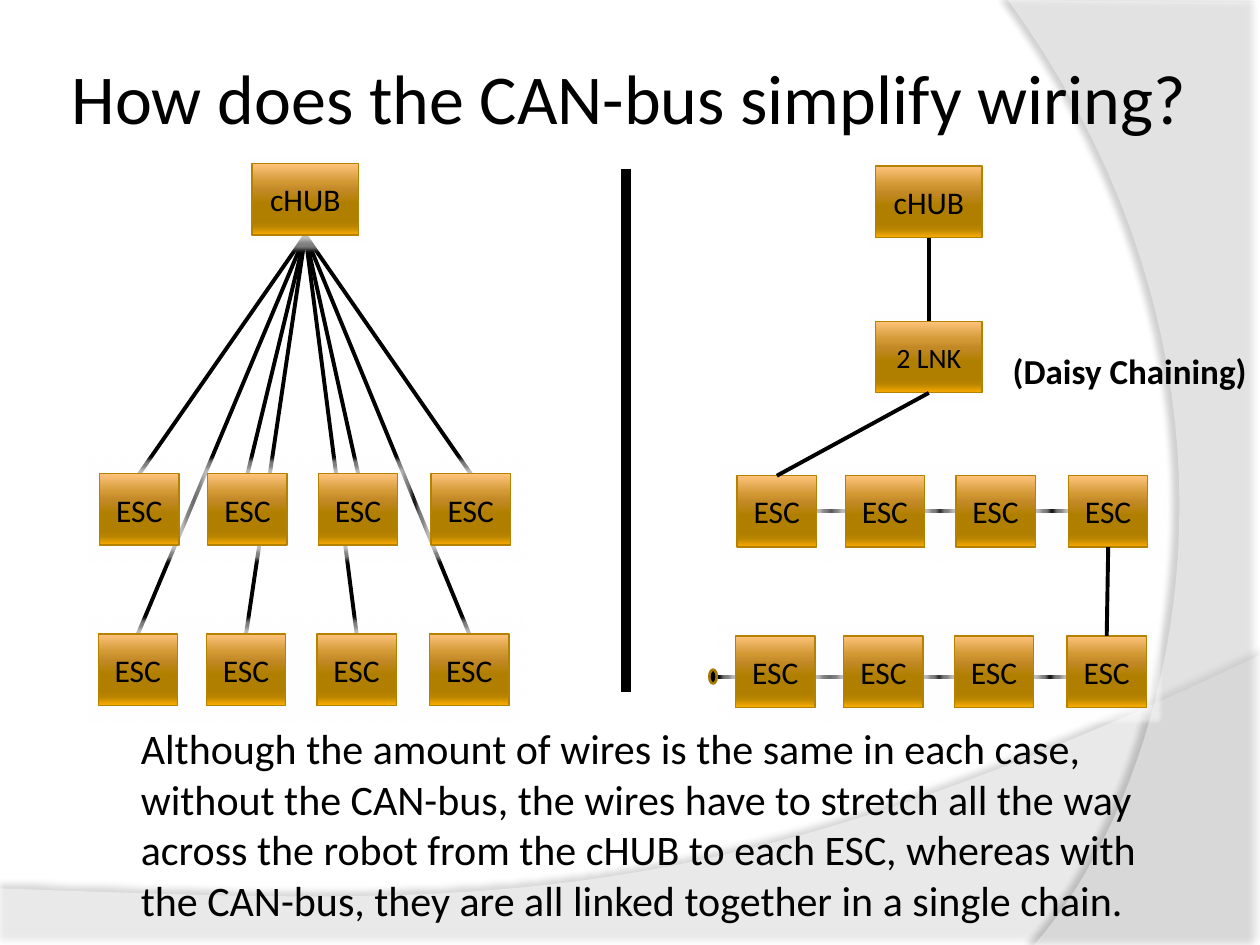
from lxml import etree
from pptx import Presentation
from pptx.dml.color import RGBColor
from pptx.enum.shapes import MSO_CONNECTOR, MSO_SHAPE
from pptx.enum.text import MSO_ANCHOR, PP_ALIGN
from pptx.oxml.ns import qn
from pptx.util import Cm, Pt

TITLE = "How does the CAN-bus simplify wiring?"
LABEL = "(Daisy Chaining)"
MAIN = "cHUB"
LINK = "2 LNK"
BODY = ("Although the amount of wires is the same in each case, without the "
        "CAN-bus, the wires have to stretch all the way across the robot from "
        f"the {MAIN} to each ESC, whereas with the CAN-bus, they are all linked "
        "together in a single chain.")
HEX = {"ink": "000000", "white": "FFFFFF", "edge": "B58200", "ring": "A77800"}
GOLD = [(0, "FFC37C"), (25, "D29935"), (38, "C28825"), (55, "B17F00"),
        (80, "B07E00"), (88, "B98500"), (100, "FAAC00")]

# All lengths are in cm.
COLS = [2.01, 4.19, 6.42, 8.69]
ROWS = [(9.55, 0), (12.78, -0.03)]  # top, sideways shift
RIGHT = (12.85, 0.04)               # offset of the right-hand ESC grid
ESC = (1.6, 1.44)
HUB = (2.15, 1.44)

# Swooshes: start, steps (2 numbers: line, 6: curve), opacity and shadow
WAVES = [
    ((0, 17.91), [(0, 19.05), (25.4, 19.05), (25.4, 13.21),
                  (14.2, 18.52, 9.93, 18.26, 0, 17.91)], 45, (35, 4, 3.5, 270)),
    ((25.4, 0.05), [(25.4, 19.05), (20.85, 19.05),
                    (23.75, 15.72, 25.86, 7.62, 20.32, 0)], 40, (45, 4, 4, 180)),
]


def tint(tag, color, alpha=100):
    """Add a colour with opacity in percent to an XML element."""
    node = etree.SubElement(tag, qn("a:srgbClr"), val=HEX.get(color, color))
    if alpha < 100:
        etree.SubElement(node, qn("a:alpha"), val=str(alpha * 1000))


def effect(shape, name, color, alpha, **attrs):
    shape.shadow.inherit = False
    root = shape._element.spPr.find(qn("a:effectLst"))
    tint(etree.SubElement(root, qn("a:" + name), **attrs), color, alpha)


def paint(fill, color):
    fill.solid()
    fill.fore_color.rgb = RGBColor.from_string(HEX[color])


def write(frame, text, size, align, bold=False):
    frame.text = text
    para = frame.paragraphs[0]
    para.alignment = align
    font = para.runs[0].font
    font.name, font.size, font.bold = "Calibri", Pt(size), bold
    paint(font.fill, "ink")


def curve(a, steps, count=40):
    """Points along a cubic curve from a."""
    b, c, d = steps[:2], steps[2:4], steps[4:]
    for i in range(1, count + 1):
        t = i / count
        s = 1 - t
        yield tuple(s**3 * p + 3 * s * s * t * q + 3 * s * t * t * r + t**3 * e
                    for p, q, r, e in zip(a, b, c, d))


def wave(shapes, place, start, steps, alpha, shade):
    points = [start]
    for step in steps:
        points += [step] if len(step) == 2 else list(curve(points[-1], step))
    form = shapes.build_freeform(Cm(start[0]), Cm(start[1]))
    form.add_line_segments([(Cm(x), Cm(y)) for x, y in points[1:]])
    shape = form.convert_to_shape()
    paint(shape.fill, "white")
    node = shape._element.spPr.find(".//" + qn("a:srgbClr"))
    etree.SubElement(node, qn("a:alpha"), val=str(alpha * 1000))
    shape.line.fill.background()
    dark, blur, dist, angle = shade
    effect(shape, "outerShdw", "ink", dark, blurRad=str(Pt(blur)),
           dist=str(Pt(dist)), dir=str(angle * 60000), algn="ctr", rotWithShape="0")
    shapes._spTree.insert(place, shape._element)


def wire(shapes, start, end, width=2.25):
    line = shapes.add_connector(MSO_CONNECTOR.STRAIGHT,
                                *[Cm(v) for v in (*start, *end)])
    line.line.width = Pt(width)
    paint(line.line.fill, "ink")
    etree.SubElement(line._element.spPr, qn("a:effectLst"))


def box(shapes, spot, area, text, size=18):
    shape = shapes.add_shape(MSO_SHAPE.RECTANGLE, *[Cm(v) for v in (*spot, *area)])
    shape.fill.gradient()
    shape.fill.gradient_angle = 270
    stops = shape._element.spPr.find(".//" + qn("a:gsLst"))
    for stop in list(stops):
        stops.remove(stop)
    for place, color in GOLD:
        tint(etree.SubElement(stops, qn("a:gs"), pos=str(place * 1000)), color)
    paint(shape.line.fill, "edge")
    shape.line.width = Pt(0.75)
    effect(shape, "glow", "white", 50, rad=str(Pt(5)))
    frame = shape.text_frame
    frame.margin_left = frame.margin_right = 0
    frame.vertical_anchor = MSO_ANCHOR.MIDDLE
    write(frame, text, size, PP_ALIGN.CENTER)


def top(spot, area):
    return spot[0] + area[0] / 2, spot[1]


def foot(spot, area):
    return spot[0] + area[0] / 2, spot[1] + area[1]


def grid(dx=0, dy=0):
    return [[(x + shift + dx, y + dy) for x in COLS] for y, shift in ROWS]


def star(shapes):
    hub, spots = (5.08, 3.3), sum(grid(), [])
    for spot in spots:
        wire(shapes, foot(hub, HUB), top(spot, ESC))
    box(shapes, hub, HUB, MAIN)
    for spot in spots:
        box(shapes, spot, ESC, "ESC")


def chain(shapes):
    hub, can = (17.65, 3.35), (17.65, 6.48)
    rows = grid(*RIGHT)
    for row, drop in zip(rows, (0, 0.1)):
        mid = row[0][1] + ESC[1] / 2 + drop
        wire(shapes, (row[0][0] + ESC[0], mid), (row[-1][0], mid))
    end = 14.3
    wire(shapes, (end, mid), (rows[1][0][0] + ESC[0] / 2, mid))
    box(shapes, hub, HUB, MAIN)
    box(shapes, can, HUB, LINK, 16)
    for spot in sum(rows, []):
        box(shapes, spot, ESC, "ESC")
    wire(shapes, top(rows[0][0], ESC), foot(can, HUB))
    wire(shapes, top(rows[1][-1], ESC), foot(rows[0][-1], ESC))
    wire(shapes, top(can, HUB), foot(hub, HUB))
    dot = shapes.add_shape(MSO_SHAPE.OVAL, Cm(end), Cm(mid - 0.14), Cm(0.15), Cm(0.28))
    paint(dot.fill, "ink")
    paint(dot.line.fill, "ring")
    dot.line.width = Pt(1.5)
    dot.shadow.inherit = False


def note(shapes, area, text, size, align, bold=False):
    frame = shapes.add_textbox(*[Cm(v) for v in area]).text_frame
    frame.word_wrap = True
    frame.margin_left = frame.margin_right = Cm(0.25)
    write(frame, text, size, align, bold)


def main():
    deck = Presentation()
    deck.slide_width, deck.slide_height = Cm(25.4), Cm(19.05)
    slide = deck.slides.add_slide(deck.slide_layouts[5])
    shapes = slide.shapes
    paint(slide.background.fill, "white")
    for place, item in enumerate(WAVES, 2):
        wave(shapes, place, *item)

    title = shapes.title
    title.left, title.top, title.width, title.height = [
        Cm(v) for v in (1.27, 0.36, 22.83, 3.18)]
    frame = title.text_frame
    frame.margin_left = frame.margin_right = Cm(0.12)
    frame.vertical_anchor = MSO_ANCHOR.MIDDLE
    write(frame, TITLE, 40, PP_ALIGN.CENTER)

    star(shapes.add_group_shape().shapes)
    chain(shapes.add_group_shape().shapes)
    wire(shapes, (12.62, 3.4), (12.62, 13.94), 6)
    note(shapes, (18.47, 6.93, 8.61, 1.11), LABEL, 20, PP_ALIGN.CENTER, True)
    note(shapes, (2.59, 14.45, 21.34, 4.37), BODY, 24, PP_ALIGN.LEFT)
    deck.save("out.pptx")


if __name__ == "__main__":
    main()
